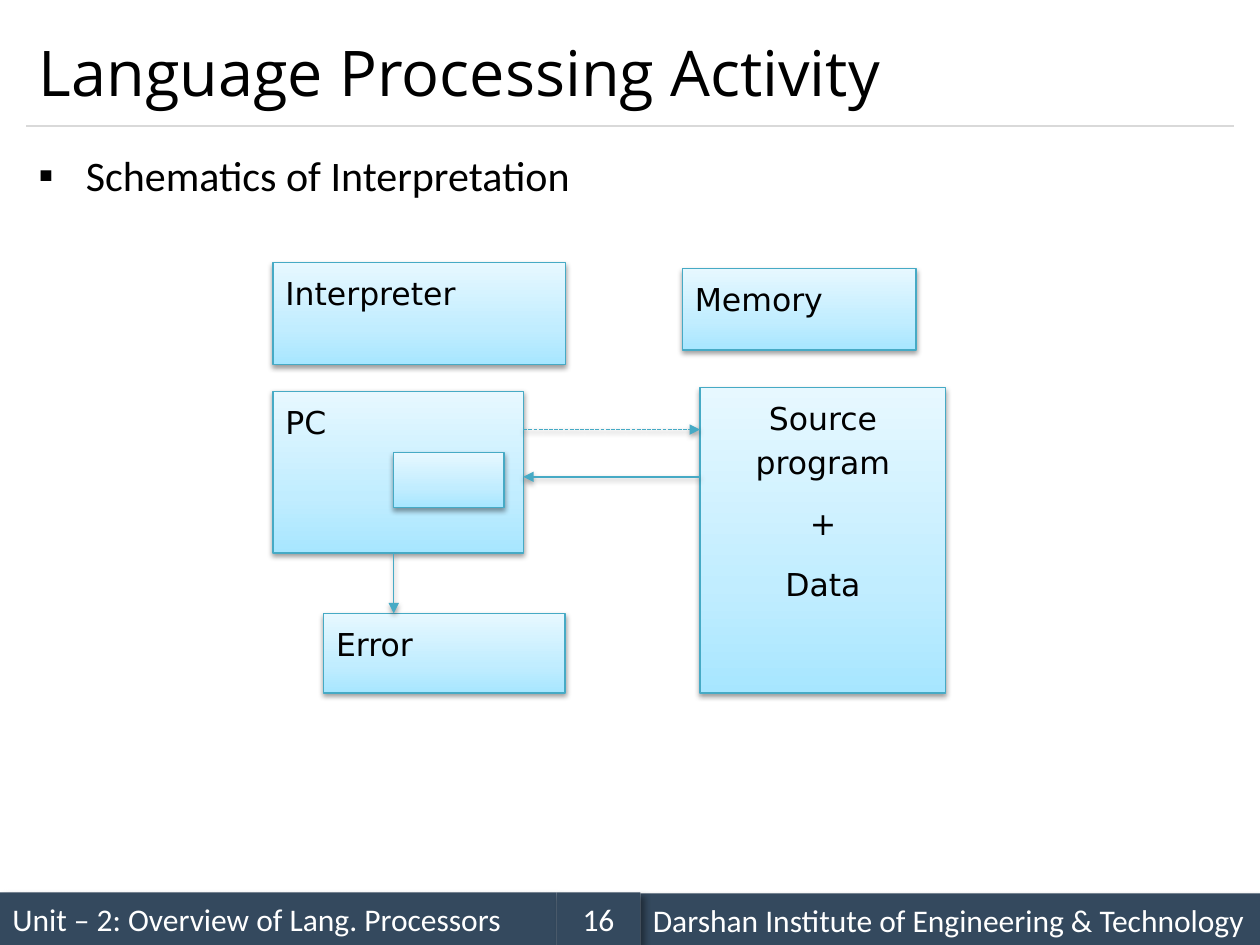
from copy import deepcopy

from lxml.etree import SubElement
from pptx import Presentation
from pptx.dml.color import RGBColor
from pptx.enum.dml import MSO_LINE
from pptx.enum.shapes import MSO_CONNECTOR, MSO_SHAPE
from pptx.enum.text import MSO_ANCHOR, PP_ALIGN
from pptx.oxml.ns import qn
from pptx.util import Pt

COLORS = {
    "ink": "000000",
    "white": "FFFFFF",
    "rule": "D9D9D9",
    "footer": "34495E",
    "edge": "46AAC5",
    "deep": "A7E6FF",
    "middle": "C1EDFF",
    "pale": "E7F8FF",
}
GRADIENT = [(0, "deep"), (0.35, "middle"), (1, "pale")]
BOX_SHADOW = {"blur": 3.1, "distance": 1.6, "angle": 90, "alpha": 38}
FOOTER_SHADOW = {"blur": 4, "distance": 3, "angle": 45, "alpha": 40}


def color(name):
    return RGBColor.from_string(COLORS[name])


def add_shadow(shape, blur, distance, angle, alpha):
    effects = SubElement(shape._element.spPr, qn("a:effectLst"))
    outer = SubElement(effects, qn("a:outerShdw"), blurRad=str(Pt(blur)),
                       dist=str(Pt(distance)), dir=str(angle * 60000), rotWithShape="0")
    shade = SubElement(outer, qn("a:srgbClr"), val=COLORS["ink"])
    SubElement(shade, qn("a:alpha"), val=str(alpha * 1000))


def write_text(shape, text, size, font, ink, align=PP_ALIGN.LEFT, anchor=MSO_ANCHOR.TOP):
    frame = shape.text_frame
    frame.word_wrap = True
    frame.vertical_anchor = anchor
    frame.text = text
    for para in frame.paragraphs:
        para.alignment = align
        for span in para.runs:
            span.font.size = Pt(size)
            span.font.name = font
            span.font.color.rgb = color(ink)
    return frame.paragraphs


def add_rectangle(page, left, top, width, height):
    return page.shapes.add_shape(MSO_SHAPE.RECTANGLE, Pt(left), Pt(top), Pt(width), Pt(height))


def add_footer(page, left, top, width, text, align=PP_ALIGN.LEFT):
    box = add_rectangle(page, left, top, width, 30)
    box.fill.solid()
    box.fill.fore_color.rgb = color("footer")
    box.line.fill.background()
    add_shadow(box, **FOOTER_SHADOW)
    write_text(box, text, 18, "Calibri", "white", align, MSO_ANCHOR.MIDDLE)


def fill_gradient(box):
    box.fill.gradient()
    box.fill.gradient_angle = 90
    stop_list = box._element.spPr.find(qn("a:gradFill")).find(qn("a:gsLst"))
    stop_list.append(deepcopy(stop_list[-1]))
    for stop, (position, name) in zip(box.fill.gradient_stops, GRADIENT):
        stop.position = position
        stop.color.rgb = color(name)


def add_box(page, left, top, width, height, text="", align=PP_ALIGN.LEFT):
    box = add_rectangle(page, left, top, width, height)
    fill_gradient(box)
    box.line.color.rgb = color("edge")
    box.line.width = Pt(0.75)
    add_shadow(box, **BOX_SHADOW)
    if text:
        for para in write_text(box, text, 18, "DejaVu Sans", "ink", align):
            para.line_spacing = 1.15
            para.space_after = Pt(10)


def add_line(page, start, end, name):
    line = page.shapes.add_connector(MSO_CONNECTOR.STRAIGHT, *map(Pt, start + end))
    line.line.color.rgb = color(name)
    line.line.width = Pt(0.75)
    return line


def add_rule(page, start, end):
    rule = add_line(page, start, end, "rule")
    SubElement(rule._element.spPr, qn("a:effectLst"))


def add_arrow(page, start, end, dashed=False):
    arrow = add_line(page, start, end, "edge")
    if dashed:
        arrow.line.dash_style = MSO_LINE.SQUARE_DOT
    SubElement(arrow.line._get_or_add_ln(), qn("a:tailEnd"), type="triangle")
    add_shadow(arrow, **BOX_SHADOW)


def set_title(page, text):
    title = page.shapes.title
    title.left, title.top, title.width, title.height = map(Pt, (15, 9, 690, 63))
    write_text(title, text, 36, "Open Sans", "ink", anchor=MSO_ANCHOR.MIDDLE)


def add_bullet(page, text):
    box = page.shapes.add_textbox(Pt(15), Pt(78), Pt(690), Pt(66))
    para = write_text(box, text, 24, "Calibri", "ink")[0]
    para.line_spacing = 1.14
    properties = para._p.get_or_add_pPr()
    properties.set("marL", str(Pt(27)))
    properties.set("indent", str(Pt(-27)))
    SubElement(properties, qn("a:buFont"), typeface="Wingdings")
    SubElement(properties, qn("a:buChar"), char="▪")
    properties.find(qn("a:buFont")).set("typeface", "Calibri")


def main():
    deck = Presentation()
    deck.slide_width, deck.slide_height = Pt(720), Pt(540)
    page = deck.slides.add_slide(deck.slide_layouts[5])

    add_footer(page, 0, 510, 318, "Unit – 2: Overview of Lang. Processors")
    add_rule(page, (15, 72), (705, 72))
    add_footer(page, 366, 510.5, 354, "Darshan Institute of Engineering & Technology")
    add_footer(page, 318, 510, 48, "16", PP_ALIGN.CENTER)
    set_title(page, "Language Processing Activity")
    add_bullet(page, "Schematics of Interpretation")

    add_box(page, 156, 223.5, 143, 92.5, "PC")
    add_box(page, 400, 221.5, 140.5, 174.5, "Source program\n+\nData", PP_ALIGN.CENTER)
    add_box(page, 225, 258.5, 63, 31.5)
    add_box(page, 156, 150, 167, 58.5, "Interpreter")
    add_box(page, 390, 153.5, 133.5, 46.5, "Memory")
    add_box(page, 185, 350.5, 138, 45.5, "Error")

    add_arrow(page, (299, 245.5), (400, 245.5), dashed=True)
    add_arrow(page, (400, 272.5), (299, 272.5))
    add_arrow(page, (225, 316), (225, 350.5))

    deck.save("out.pptx")


if __name__ == "__main__":
    main()
